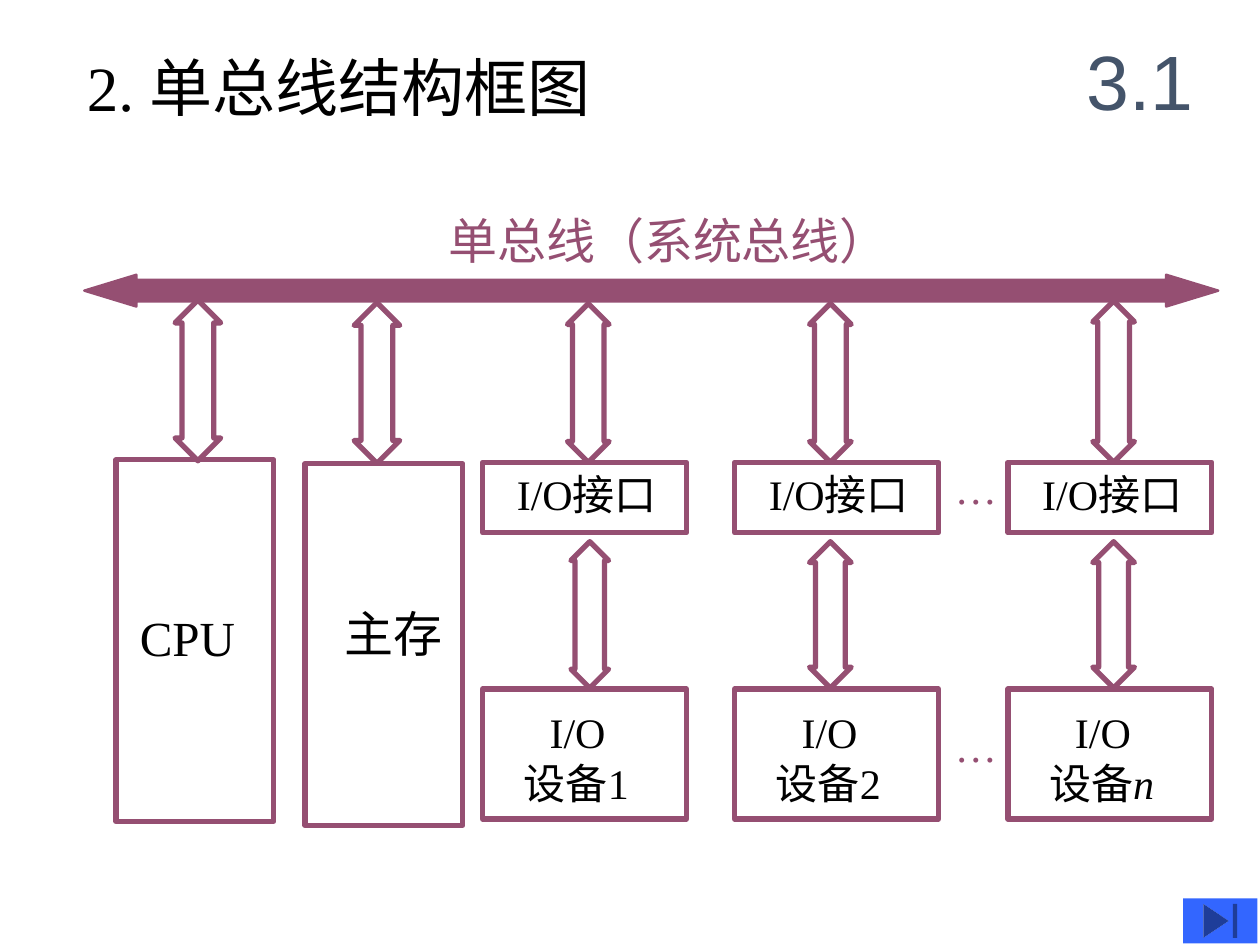
from pptx import Presentation
from pptx import util as u
from pptx.dml.color import RGBColor
from pptx.enum import shapes, text
from pptx.oxml.ns import qn
from lxml import etree

COLORS = {"plum": "954F72", "black": "000000", "slate": "44546A", "blue": "3366FF"}
SERIF = "Times New Roman"
CJK = "Noto Sans CJK SC"
PRESET = shapes.MSO_SHAPE

prs = Presentation()
prs.slide_width, prs.slide_height = u.Cm(25.4), u.Cm(19.05)
slide = prs.slides.add_slide(prs.slide_layouts[6])


def add_figure(preset, left, top, width, height, fill=None, line="plum", weight=3):
    figure = slide.shapes.add_shape(preset, u.Cm(left), u.Cm(top), u.Cm(width), u.Cm(height))
    figure.shadow.inherit = False
    if fill:
        figure.fill.solid()
        figure.fill.fore_color.rgb = RGBColor.from_string(COLORS[fill])
    else:
        figure.fill.background()
    if line:
        figure.line.color.rgb = RGBColor.from_string(COLORS[line])
        figure.line.width = u.Pt(weight)
        if preset != PRESET.RECTANGLE:
            etree.SubElement(figure.line._get_or_add_ln(), qn("a:round"))
    else:
        figure.line.fill.background()
    return figure


def write(holder, lines, size, color="black", font=SERIF, margins=(0.25, 0.13),
          align=text.PP_ALIGN.LEFT, wrap=True):
    """Fill holder with lines, each an indent in cm and a list of (words, italic)."""
    frame = holder.text_frame
    frame.word_wrap = wrap
    frame.vertical_anchor = text.MSO_ANCHOR.TOP
    frame.margin_left = frame.margin_right = u.Cm(margins[0])
    frame.margin_top, frame.margin_bottom = u.Cm(margins[1]), u.Cm(min(margins[1], 0.13))
    for number, (indent, runs) in enumerate(lines):
        paragraph = frame.add_paragraph() if number else frame.paragraphs[0]
        paragraph.alignment = align
        if indent:
            paragraph._p.get_or_add_pPr().set("marL", str(u.Cm(indent)))
        for words, italic in runs:
            run = paragraph.add_run()
            run.text = words
            run.font.name = font
            run.font.size = u.Pt(size)
            run.font.color.rgb = RGBColor.from_string(COLORS[color])
            if italic:
                run.font.italic = True
    return frame


# Headings and the bus label
for words, (left, top, width, height), size, color, font, margins, wrap in [
    ("单总线（系统总线）", (9.04, 4.24, 8.89, 1.19), 28, "plum", CJK, (0, 0), False),
    ("2. 单总线结构框图", (1.5, 0.84, 10.97, 1.78), 36, "black", SERIF, (0.25, 0.13), False),
    ("…", (19.25, 9.32, 1.07, 1.02), 24, "plum", SERIF, (0, 0), True),
    ("…", (19.25, 14.53, 1.47, 1.02), 24, "plum", SERIF, (0, 0), True),
]:
    box = slide.shapes.add_textbox(u.Cm(left), u.Cm(top), u.Cm(width), u.Cm(height))
    write(box, [(0, [(words, False)])], size, color, font, margins, wrap=wrap)

section = slide.shapes.add_textbox(u.Cm(21.39), u.Cm(0.43), u.Cm(3.18), u.Cm(2.34))
write(section, [(0, [("3.1", False)])], 44, "slate", "Arial",
      align=text.PP_ALIGN.CENTER).vertical_anchor = text.MSO_ANCHOR.MIDDLE

# System bus
bus = add_figure(PRESET.LEFT_RIGHT_ARROW, 1.7, 5.54, 22.86, 0.64, "plum", weight=1.39)
bus.adjustments[0], bus.adjustments[1] = 0.68, 1.64

# CPU and main memory
for words, left, top, indent, drop in [("CPU", 2.34, 9.27, 0.23, 2.97),
                                       ("主存", 6.15, 9.35, 0.55, 2.82)]:
    unit = add_figure(PRESET.RECTANGLE, left, top, 3.18, 7.29)
    write(unit, [(indent, [(words, False)])], 28, margins=(0.25, drop))

# Interfaces with their devices
for left, number in [(9.73, "1"), (14.81, "2"), (20.32, "n")]:
    interface = add_figure(PRESET.RECTANGLE, left, 9.32, 4.11, 1.42)
    write(interface, [(0.44, [("I/O接口", False)])], 24)
    device = add_figure(PRESET.RECTANGLE, left, 13.89, 4.11, 2.62)
    write(device, [(1.1, [("I/O", False)]),
                   (0.58, [("设备", False), (number, number == "n")])],
          24, margins=(0.25, 0.36))

# Two-way links: centre, top, width, height
for center, top, width, height in [
    (3.99, 6.05, 0.92, 3.24), (7.6, 6.1, 0.92, 3.24), (11.86, 6.12, 0.84, 3.2),
    (16.74, 6.12, 0.84, 3.2), (22.45, 6.07, 0.84, 3.25),
    (11.89, 10.92, 0.76, 2.95), (16.74, 10.92, 0.84, 2.95), (22.45, 10.92, 0.84, 2.95),
]:
    link = add_figure(PRESET.UP_DOWN_ARROW, center - width / 2, top, width, height)
    head = 0.6 if top > 10 else 0.64
    link.adjustments[0], link.adjustments[1] = 0.5, head / width

add_figure(PRESET.ACTION_BUTTON_END, 23.85, 18.11, 1.5, 0.91, "blue", line=None)

prs.save("out.pptx")
